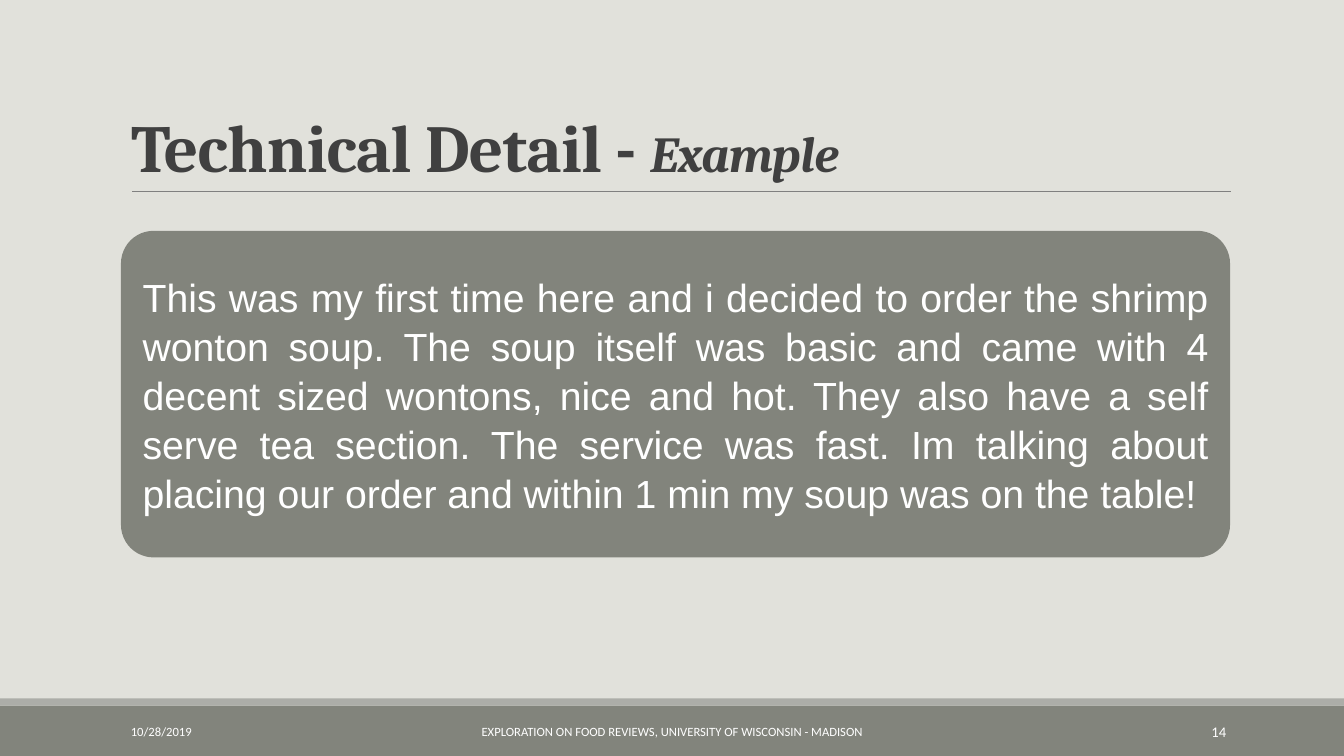
import dataclasses

import pptx
import pptx.dml.color
import pptx.enum.shapes
import pptx.enum.text
import pptx.util
from lxml import etree
from pptx.util import Inches

ALIGN = pptx.enum.text.PP_ALIGN
ANCHOR = pptx.enum.text.MSO_ANCHOR
SHAPES = pptx.enum.shapes.MSO_SHAPE


@dataclasses.dataclass(frozen=True)
class Theme:
    background: str = "E1E1DB"
    panel: str = "82847C"
    stripe: str = "ACADA8"
    rule: str = "808080"
    heading: str = "404040"
    light: str = "FFFFFF"
    heading_size: float = 48
    subheading_size: float = 36
    review_size: float = 28
    footer_size: float = 9
    number_size: float = 10.5


theme = Theme()


def rgb(color):
    return pptx.dml.color.RGBColor.from_string(color)


def add_text(paragraph, text, *, size, font="Calibri", color=theme.light,
             bold=False, italic=False, align=ALIGN.LEFT, line_spacing=1.0, tracking=0):
    """Append a formatted run; tracking is in points."""
    paragraph.alignment = align
    paragraph.line_spacing = line_spacing
    run = paragraph.add_run()
    run.text = text
    run.font.name = font
    run.font.size = pptx.util.Pt(size)
    run.font.color.rgb = rgb(color)
    run.font.bold = bold
    run.font.italic = italic
    if tracking:
        run._r.get_or_add_rPr().set("spc", str(round(tracking * 100)))


presentation = pptx.Presentation()
presentation.slide_width = Inches(13.33)
presentation.slide_height = Inches(7.5)
slide = presentation.slides.add_slide(presentation.slide_layouts[5])
slide.background.fill.solid()
slide.background.fill.fore_color.rgb = rgb(theme.background)

# Footer bars and review panel
panels = [
    (SHAPES.RECTANGLE, 0, 7, 13.33, 0.5, theme.panel),
    (SHAPES.RECTANGLE, 0, 6.93, 13.33, 0.07, theme.stripe),
    (SHAPES.ROUNDED_RECTANGLE, 1.2, 2.29, 11, 3.24, theme.panel),
]
for kind, left, top, width, height, color in panels:
    panel = slide.shapes.add_shape(
        kind, Inches(left), Inches(top), Inches(width), Inches(height))
    panel.shadow.inherit = False
    panel.fill.solid()
    panel.fill.fore_color.rgb = rgb(color)
    panel.line.fill.background()

review = panel
review.adjustments[0] = 0.1
frame = review.text_frame
frame.word_wrap = True
frame.vertical_anchor = ANCHOR.MIDDLE
frame.margin_left = frame.margin_right = Inches(0.12)
frame.margin_top = frame.margin_bottom = Inches(0.12)
add_text(
    frame.paragraphs[0],
    "This was my first time here and i decided to order the shrimp wonton soup. "
    "The soup itself was basic and came with 4 decent sized wontons, nice and hot. "
    "They also have a self serve tea section. The service was fast. "
    "Im talking about placing our order and within 1 min my soup was on the table!",
    size=theme.review_size, font="Arial", align=ALIGN.JUSTIFY, line_spacing=1.04)

# Title and the rule beneath it
title = slide.shapes.title
title.left, title.top = Inches(1.2), Inches(0.31)
title.width, title.height = Inches(11), Inches(1.59)
title.text_frame.word_wrap = True
title.text_frame.vertical_anchor = ANCHOR.BOTTOM
for text, size, italic in [
    ("Technical Detail - ", theme.heading_size, False),
    ("Example", theme.subheading_size, True),
]:
    add_text(title.text_frame.paragraphs[0], text, size=size, font="Cambria",
             color=theme.heading, bold=True, italic=italic,
             line_spacing=0.85, tracking=-0.5)

rule = slide.shapes.add_connector(
    pptx.enum.shapes.MSO_CONNECTOR.STRAIGHT,
    Inches(1.31), Inches(1.9), Inches(12.21), Inches(1.9))
rule.line.color.rgb = rgb(theme.rule)
rule.line.width = pptx.util.Pt(0.5)
etree.SubElement(rule._element.spPr, pptx.oxml.ns.qn("a:effectLst"))

# Footer text
footers = [
    ("10/28/2019", 1.2, 2.7, theme.footer_size, ALIGN.LEFT),
    ("EXPLORATION ON FOOD REVIEWS, UNIVERSITY OF WISCONSIN - MADISON",
     4.03, 5.27, theme.footer_size, ALIGN.CENTER),
    ("14", 10.83, 1.43, theme.number_size, ALIGN.RIGHT),
]
for text, left, width, size, align in footers:
    footer = slide.shapes.add_textbox(
        Inches(left), Inches(7.06), Inches(width), Inches(0.4))
    footer.text_frame.word_wrap = True
    footer.text_frame.vertical_anchor = ANCHOR.MIDDLE
    add_text(footer.text_frame.paragraphs[0], text, size=size, align=align)

presentation.save("out.pptx")
